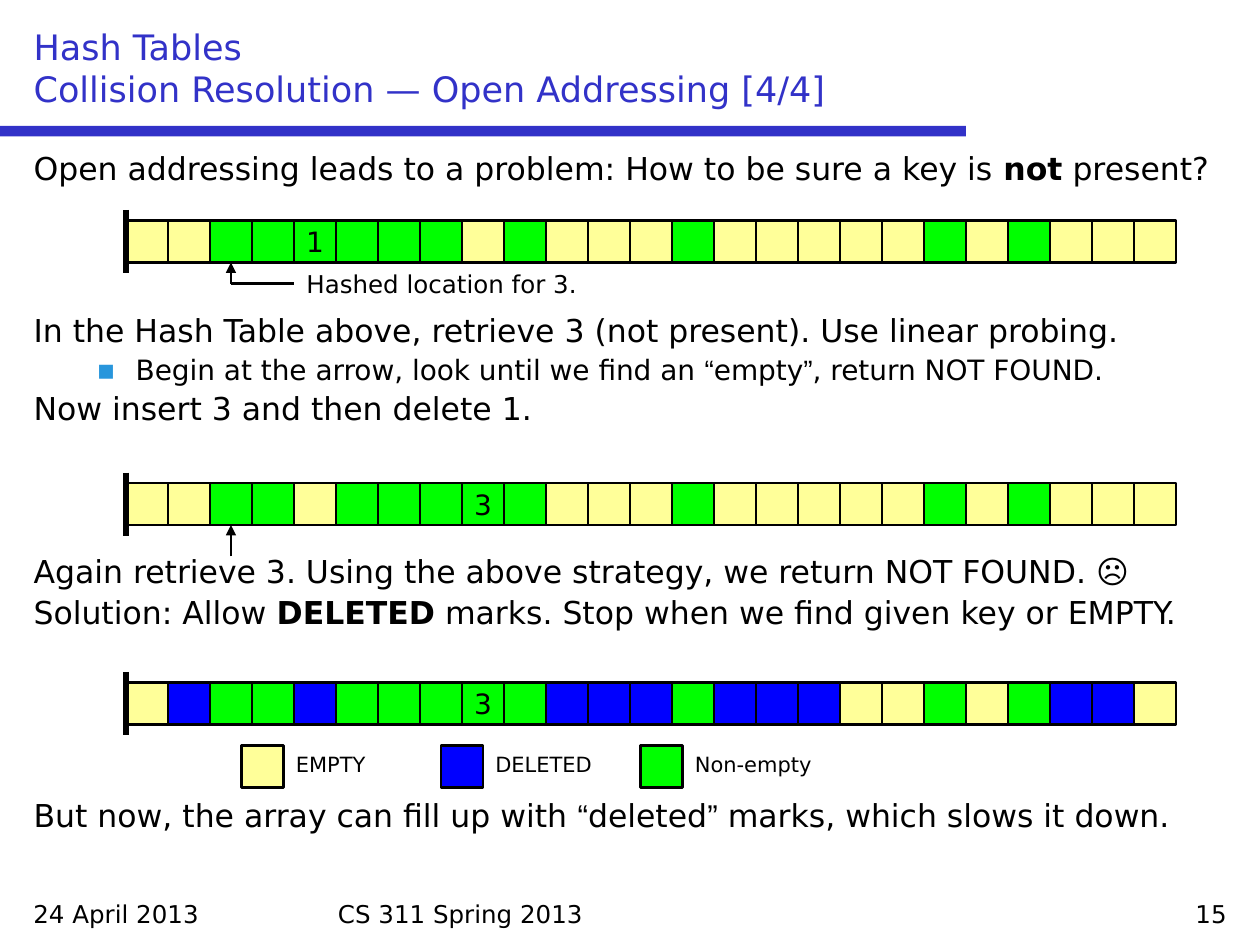
from lxml.etree import SubElement
from pptx import Presentation
from pptx.dml.color import RGBColor
from pptx.enum.shapes import MSO_CONNECTOR as CONN, MSO_SHAPE as SHAPE
from pptx.enum.text import MSO_ANCHOR as ANCHOR, MSO_AUTO_SIZE as AUTO, PP_ALIGN as ALIGN
from pptx.oxml.ns import qn
from pptx.util import Inches, Pt

FONT = "DejaVu Sans"
BLACK, BLUE, BULLET = "000000", "3232C8", "2896DC"
STATES = {"E": "FFFF99", "D": "0000FF", "N": "00FF00"}
CELL = 4
LINE_PITCH = 23.05


def grid(n):
    return Inches(n / 12)


def color(fmt, value):
    fmt.rgb = RGBColor.from_string(value)


def style(r, size, value=BLACK, font=FONT):
    r.font.size = Pt(size)
    r.font.name = font
    color(r.font.color, value)


def place(sp, x, y, w, h):
    sp.left, sp.top, sp.width, sp.height = map(grid, (x, y, w, h))


def add_box(s, x, y, w, h, fill, line=True, label=""):
    sp = s.shapes.add_shape(SHAPE.RECTANGLE, *map(grid, (x, y, w, h)))
    sp.shadow.inherit = False
    sp.fill.solid()
    color(sp.fill.fore_color, fill)
    if line:
        color(sp.line.color, BLACK)
        sp.line.width = Pt(1.25)
    else:
        sp.line.fill.background()
    if label:
        tf = sp.text_frame
        tf.text = label
        tf.word_wrap = False
        tf.vertical_anchor = ANCHOR.MIDDLE
        p = tf.paragraphs[0]
        p.alignment = ALIGN.CENTER
        style(p.runs[0], 16)


def add_text(s, x, y, w, h, text, size, align=ALIGN.LEFT):
    tf = s.shapes.add_textbox(*map(grid, (x, y, w, h))).text_frame
    tf.word_wrap = True
    tf.text = text
    p = tf.paragraphs[0]
    p.alignment = align
    style(p.runs[0], size)


def add_line(s, x1, y1, x2, y2, width=1.25, arrow=False):
    c = s.shapes.add_connector(CONN.STRAIGHT, *map(grid, (x1, y1, x2, y2)))
    color(c.line.color, BLACK)
    c.line.width = Pt(width)
    spPr = c._element.spPr
    if arrow:
        SubElement(spPr.find(qn("a:ln")), qn("a:tailEnd"), type="triangle")
    SubElement(spPr, qn("a:effectLst"))


def add_title(s, x, y, w, h, text):
    sp = s.shapes.title
    place(sp, x, y, w, h)
    tf = sp.text_frame
    tf.text = text
    tf.auto_size = AUTO.NONE
    tf.vertical_anchor = ANCHOR.BOTTOM
    p = tf.paragraphs[0]
    p.alignment = ALIGN.LEFT
    for r in p.runs:
        style(r, 20, BLUE)


def add_body(s, x, y, w, h, items):
    sp = s.placeholders[1]
    place(sp, x, y, w, h)
    tf = sp.text_frame
    tf.auto_size = AUTO.NONE
    for i, (level, gap, parts) in enumerate(items):
        p = tf.add_paragraph() if i else tf.paragraphs[0]
        size = 16 if level else 18
        p.level = level
        p.line_spacing = 0.9
        p.space_before = Pt(round(size * 0.233 + gap * LINE_PITCH, 1))
        pPr = p._p.get_or_add_pPr()
        margin, indent = (0.81, -0.31) if level else (0.38, -0.38)
        pPr.set("marL", str(Inches(margin)))
        pPr.set("indent", str(Inches(indent)))
        if level:
            SubElement(SubElement(pPr, qn("a:buClr")), qn("a:srgbClr"), val=BULLET)
            SubElement(pPr, qn("a:buFont"), typeface=FONT)
            SubElement(pPr, qn("a:buChar"), char="▪")
        else:
            SubElement(pPr, qn("a:buNone"))
        for part in parts:
            r = p.add_run()
            r.text = part.strip("*")
            style(r, size, font="Arial" if part in "“”" else FONT)
            r.font.bold = part.startswith("*")


def add_array(s, x, y, states, labels):
    for i, state in enumerate(states):
        add_box(s, x + i * CELL, y, CELL, CELL, STATES[state], label=labels.get(i, ""))
    add_line(s, x, y - 1, x, y + CELL + 1, 3)


def add_legend(s, x, y, entries):
    for i, (state, text, w) in enumerate(entries):
        left = x + i * 19
        add_box(s, left, y, CELL, CELL, STATES[state])
        add_text(s, left + CELL, y, w, 3.6, text, 12)


def add_footer(s, y):
    add_text(s, 2, y, 28, 4, "24 April 2013", 14)
    add_text(s, 31, y, 58, 4, "CS 311 Spring 2013", 14)
    add_text(s, 90, y, 28, 4, "15", 14, ALIGN.RIGHT)


prs = Presentation()
prs.slide_width, prs.slide_height = grid(120), grid(90)
s = prs.slides.add_slide(prs.slide_layouts[1])

add_box(s, 0, 12, 92, 1, BLUE, line=False)
add_title(s, 2, 2, 116, 9, "Hash Tables\vCollision Resolution — Open Addressing [4/4]")
add_body(s, 2, 14, 116, 70, [
    (0, 0, ["Open addressing leads to a problem: How to be sure a key is ", "*not*", " present?"]),
    (0, 3, ["In the Hash Table above, retrieve 3 (not present). Use linear probing."]),
    (1, 0, ["Begin at the arrow, look until we find an ", "“", "empty", "”", ", return NOT FOUND."]),
    (0, 0, ["Now insert 3 and then delete 1."]),
    (0, 3, ["Again retrieve 3. Using the above strategy, we return NOT FOUND. ☹"]),
    (0, 0, ["Solution: Allow ", "*DELETED*", " marks. Stop when we find given key or EMPTY."]),
    (0, 4, ["But now, the array can fill up with ", "“", "deleted", "”", " marks, which slows it down."]),
])

add_array(s, 12, 21, "EENNNNNNENEEENEEEEENENEEE", {4: "1"})
add_line(s, 28, 27, 22, 27)
add_line(s, 22, 27, 22, 25, arrow=True)
add_text(s, 28, 25, 30, 4, "Hashed location for 3.", 14)

add_array(s, 12, 46, "EENNENNNNNEEENEEEEENENEEE", {8: "3"})
add_line(s, 22, 53, 22, 50, arrow=True)

add_array(s, 12, 65, "EDNNDNNNNNDDDNDDDEENENDDE", {8: "3"})
add_legend(s, 23, 71, [("E", "EMPTY", 10), ("D", "DELETED", 12), ("N", "Non-empty", 14)])
add_footer(s, 85)

prs.save("out.pptx")
